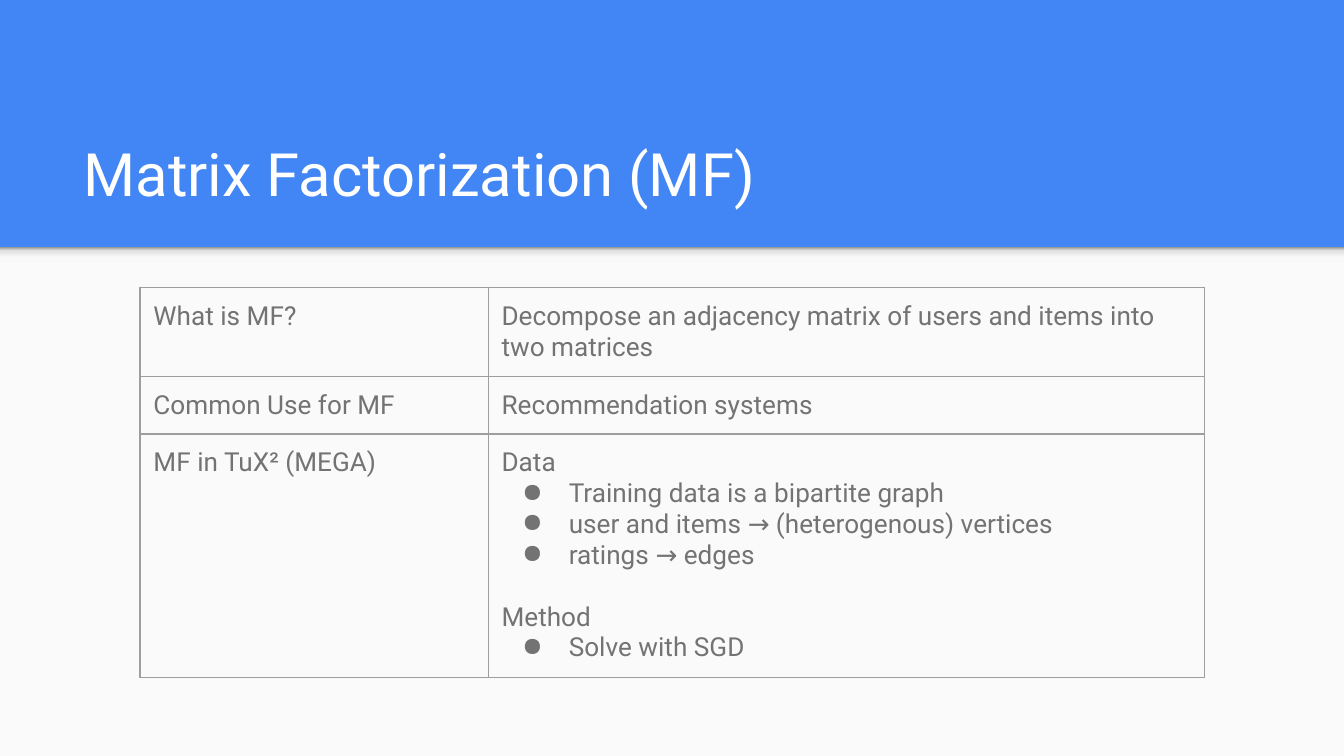
from lxml.etree import SubElement
from pptx import Presentation
from pptx.dml.color import RGBColor
from pptx.enum.shapes import MSO_SHAPE as Shape
from pptx.enum.text import MSO_ANCHOR as Anchor, PP_ALIGN as Align
from pptx.oxml.ns import qn
from pptx.util import Pt

FONT = "Roboto"
BLUE, PAPER, WHITE = "4285F4", "FAFAFA", "FFFFFF"
GREY, RULE = "737373", "9E9E9E"
WIDTH, HEIGHT, BAND = 720, 405, 132.5
INSET = 7.2
LINE = 16.4  # height of one line of table text

# Each cell is a list of (text, is_bullet, space_before)
ROWS = [
    (47.5, [("What is MF?", False, 0)],
     [("Decompose an adjacency matrix of users and items into two matrices", False, 0)]),
    (31, [("Common Use for MF", False, 0)],
     [("Recommendation systems", False, 0)]),
    (130.5, [("MF in TuX² (MEGA)", False, 0)],
     [("Data", False, 0),
      ("Training data is a bipartite graph", True, 0),
      ("user and items → (heterogenous) vertices", True, 0),
      ("ratings → edges", True, 0),
      ("Method", False, LINE),
      ("Solve with SGD", True, 0)]),
]


def color(code):
    return RGBColor.from_string(code)


def add_span(para, text, size, code):
    span = para.add_run()
    span.text = text
    span.font.name = FONT
    span.font.size = Pt(size)
    span.font.color.rgb = color(code)


def set_insets(holder):
    for side in ("left", "top", "right", "bottom"):
        setattr(holder, f"margin_{side}", Pt(INSET))


def add_panel(page, left, top, width, height):
    panel = page.shapes.add_shape(Shape.RECTANGLE, Pt(left), Pt(top), Pt(width), Pt(height))
    panel.shadow.inherit = False
    panel.line.fill.background()
    return panel


def add_backdrop(page, left, top, width, height):
    page.background.fill.solid()
    page.background.fill.fore_color.rgb = color(BLUE)

    # Light content area
    paper = add_panel(page, left, top, width, height)
    paper.fill.solid()
    paper.fill.fore_color.rgb = color(PAPER)

    # Soft shade below the blue band, darkest at its top
    shade = add_panel(page, left, top, width, 8.5)
    shade.fill.gradient()
    shade.fill.gradient_angle = 90
    stops = shade.fill._fill._gradFill.find(qn("a:gsLst"))
    for stop in list(stops):
        stops.remove(stop)
    for position, code in ((0, "F9F9F9"), (36, "F9F9F9"), (80, "DEDEDE"), (100, "999999")):
        stop = SubElement(stops, qn("a:gs"), pos=str(position * 1000))
        SubElement(stop, qn("a:srgbClr"), val=code)


def place_title(page, text, left, top, width, height):
    title = page.shapes.title
    title.left, title.top, title.width, title.height = map(Pt, (left, top, width, height))
    frame = title.text_frame
    frame.word_wrap = True
    frame.vertical_anchor = Anchor.BOTTOM
    set_insets(frame)
    para = frame.paragraphs[0]
    para.alignment = Align.LEFT
    add_span(para, text, 32, WHITE)


def add_bullet(para):
    props = para._p.get_or_add_pPr()
    props.set("marL", str(Pt(36)))
    props.set("indent", str(-Pt(25)))
    tint = SubElement(props, qn("a:buClr"))
    SubElement(tint, qn("a:srgbClr"), val=GREY)
    SubElement(props, qn("a:buChar"), char="●")


def add_borders(cell):
    props = cell._tc.get_or_add_tcPr()
    for edge in ("lnL", "lnR", "lnT", "lnB"):
        border = SubElement(props, qn(f"a:{edge}"), w=str(Pt(0.75)))
        fill = SubElement(border, qn("a:solidFill"))
        SubElement(fill, qn("a:srgbClr"), val=RULE)


def fill_cell(cell, lines):
    set_insets(cell)
    add_borders(cell)
    cell.fill.background()
    frame = cell.text_frame
    for index, (text, is_bullet, gap) in enumerate(lines):
        para = frame.paragraphs[0] if index == 0 else frame.add_paragraph()
        if gap:
            para.space_before = Pt(gap)
        if is_bullet:
            add_bullet(para)
        add_span(para, text, 14, GREY)


def add_summary_table(page, rows, left, top, widths):
    height = sum(row[0] for row in rows)
    frame = page.shapes.add_table(len(rows), len(widths), Pt(left), Pt(top),
                                  Pt(sum(widths)), Pt(height))
    table = frame.table
    table.first_row = table.horz_banding = False
    for column, width in zip(table.columns, widths):
        column.width = Pt(width)
    for row, (row_height, *cells) in zip(table.rows, rows):
        row.height = Pt(row_height)
        for cell, lines in zip(row.cells, cells):
            fill_cell(cell, lines)


def main():
    deck = Presentation()
    deck.slide_width, deck.slide_height = Pt(WIDTH), Pt(HEIGHT)
    page = deck.slides.add_slide(deck.slide_layouts[5])
    add_backdrop(page, 0, BAND, WIDTH, HEIGHT - BAND)
    place_title(page, "Matrix Factorization (MF)", 37.5, 58.3, 647.3, 60.5)
    add_summary_table(page, ROWS, 75, 154, (186.5, 383.75))
    deck.save("out.pptx")


if __name__ == "__main__":
    main()
